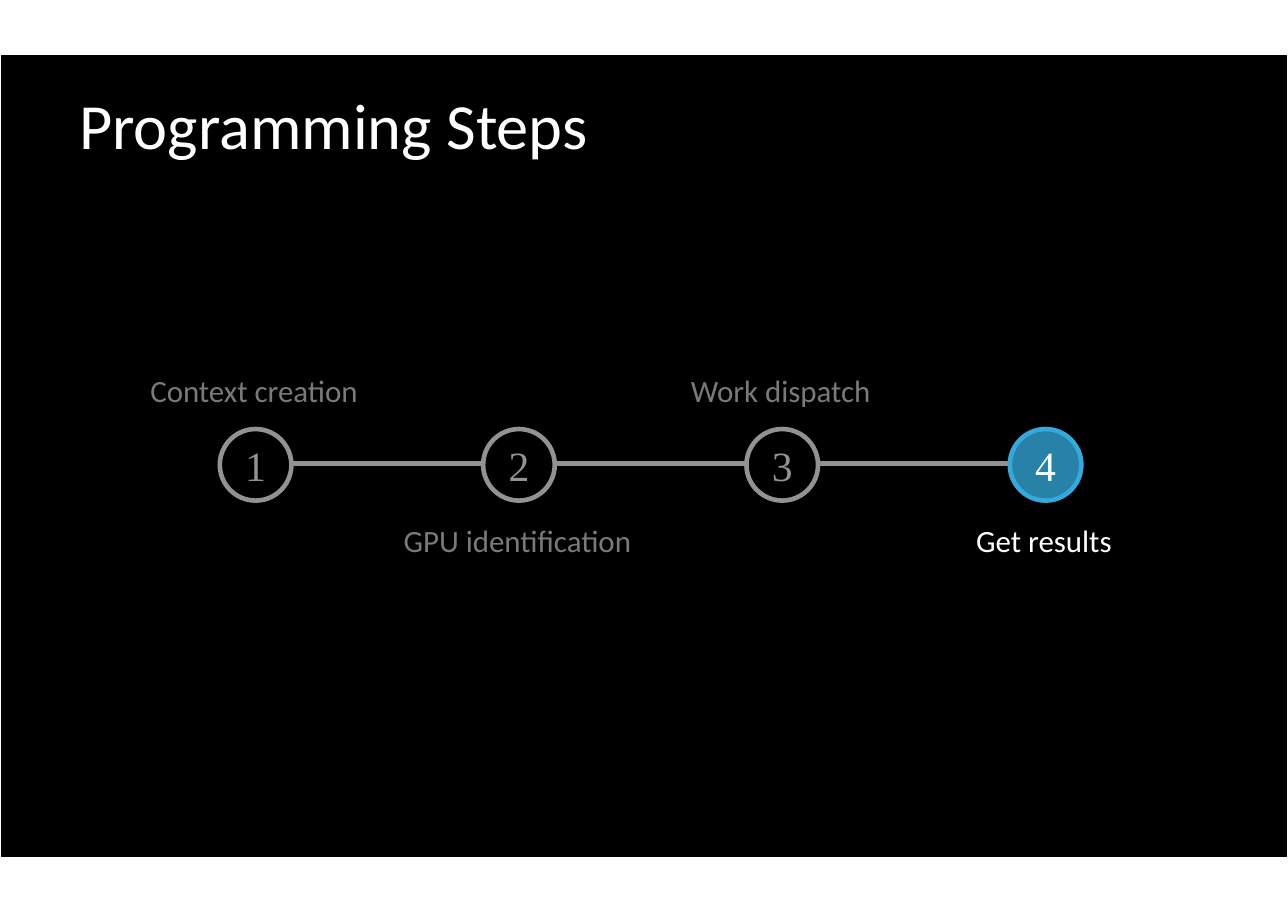
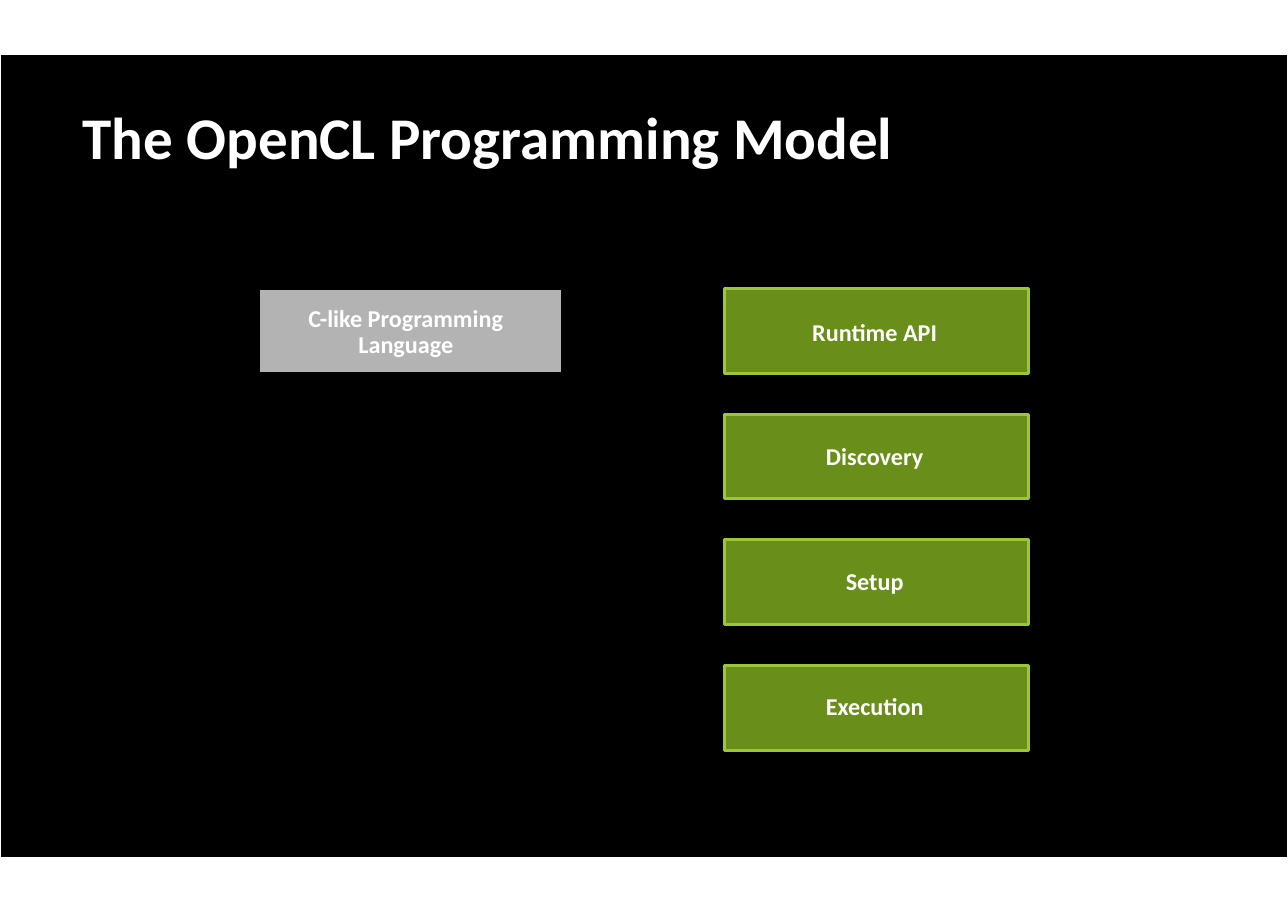
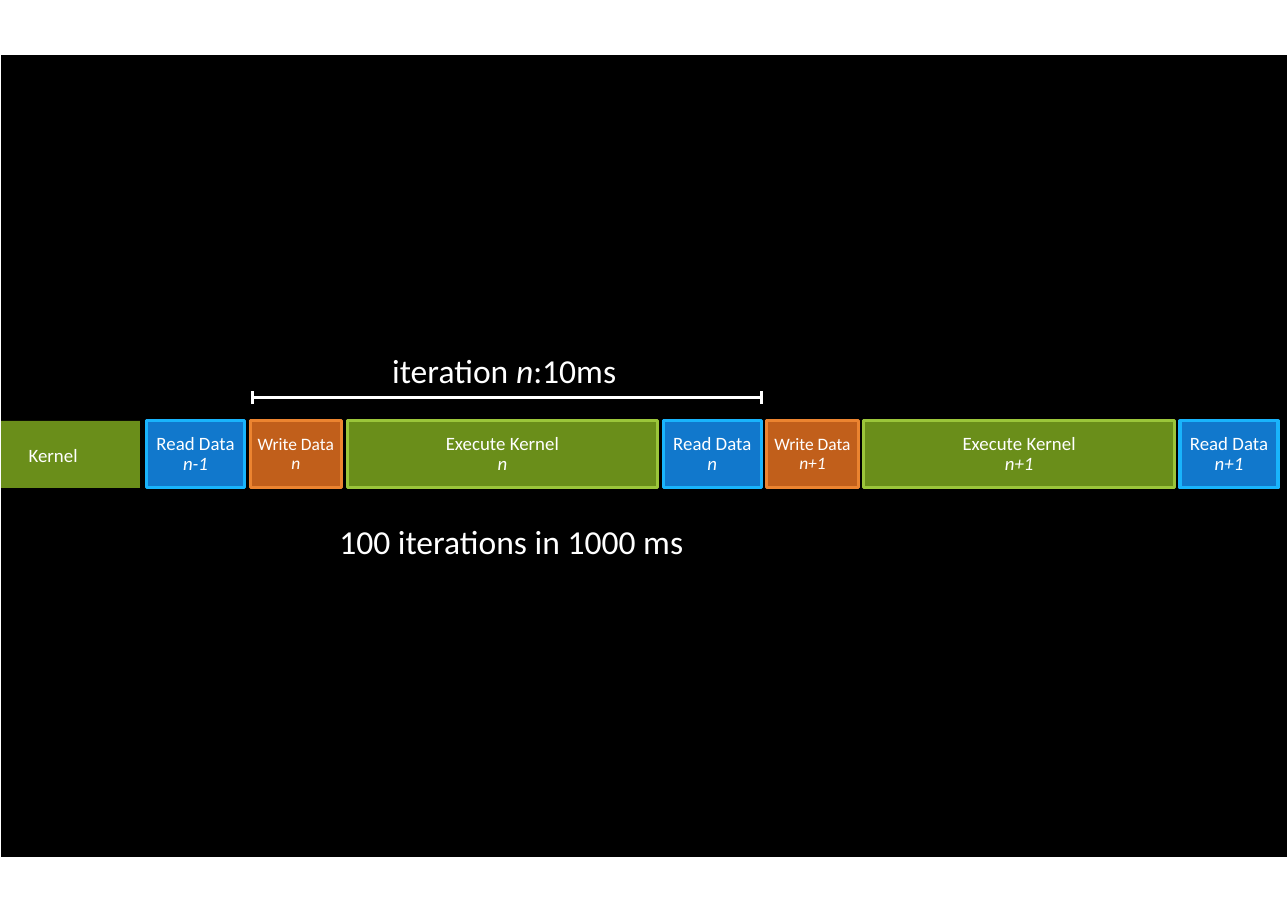
"""Three slides on OpenCL programming: steps, model and iteration timing."""
import pptx
import pptx.util
import pptx.dml.color
import pptx.enum.shapes
import pptx.enum.text
import pptx.oxml.ns
from lxml import etree

Inches, Pt = pptx.util.Inches, pptx.util.Pt
RGB = pptx.dml.color.RGBColor.from_string
SHAPE = pptx.enum.shapes.MSO_SHAPE
ALIGN = pptx.enum.text.PP_ALIGN
ANCHOR = pptx.enum.text.MSO_ANCHOR

COLORS = {
    "black": "000000", "white": "FFFFFF", "silver": "B3B3B3",
    "grey": "929292", "dim": "7A7A7A",
    "teal": "2882A8", "teal_edge": "34AADC",
    "green": "6A8E1A", "green_edge": "9BC63A",
    "orange": "C15F1B", "orange_edge": "EC8430",
    "blue": "1178CC", "blue_edge": "19B4FC",
}


def box(s, kind, x, y, w, h, fill=None, edge=None, weight=2, lines=(), size=12.3,
        color="white", font="Calibri", bold=False, leading=None,
        align=ALIGN.CENTER, anchor=ANCHOR.MIDDLE, inset=(0, 0, 0)):
    """Add a shape, or a text box when kind is None, and return its text frame."""
    place = [Inches(v) for v in (x, y, w, h)]
    if kind is None:
        sp = s.shapes.add_textbox(*place)
    else:
        sp = s.shapes.add_shape(kind, *place)
        sp.shadow.inherit = False
        sp.fill.solid()
        sp.fill.fore_color.rgb = RGB(COLORS[fill])
        if edge:
            sp.line.color.rgb = RGB(COLORS[edge])
            sp.line.width = Pt(weight)
        else:
            sp.line.fill.background()
    tf = sp.text_frame
    tf.word_wrap = True
    tf.vertical_anchor = anchor
    tf.margin_left, tf.margin_top, tf.margin_right = [Inches(v) for v in inset]
    tf.margin_bottom = 0
    for i, line in enumerate(lines):
        p = tf.paragraphs[0] if i == 0 else tf.add_paragraph()
        p.text = line
        p.alignment = align
        if leading:
            p.line_spacing = Pt(leading)
        p.font.name = font
        p.font.size = Pt(size)
        p.font.bold = bold
        p.font.color.rgb = RGB(COLORS[color])
    return tf


def rule(s, x1, y1, x2, y2, color, weight):
    """Add a straight line without a shadow."""
    c = s.shapes.add_connector(pptx.enum.shapes.MSO_CONNECTOR.STRAIGHT,
                               Inches(x1), Inches(y1), Inches(x2), Inches(y2))
    c.line.color.rgb = RGB(COLORS[color])
    c.line.width = Pt(weight)
    etree.SubElement(c._element.spPr, pptx.oxml.ns.qn("a:effectLst"))


prs = pptx.Presentation()
prs.slide_width, prs.slide_height = Inches(11.69), Inches(8.27)
slides = [prs.slides.add_slide(prs.slide_layouts[6]) for _ in range(3)]
for s in slides:
    box(s, SHAPE.RECTANGLE, 0.01, 0.5, 11.67, 7.28, "black")
steps_slide, model_slide, timing_slide = slides

heading = dict(align=ALIGN.LEFT, anchor=ANCHOR.TOP)
box(steps_slide, None, 0.72, 0.85, 10, 0.68, lines=["Programming Steps"],
    size=42.1, leading=45, **heading)
box(model_slide, None, 0.75, 0.99, 10, 0.64, lines=["The OpenCL Programming Model"],
    size=38.6, leading=41, bold=True, **heading)

steps = ["Context creation", "GPU identification", "Work dispatch", "Get results"]
first_x, step_gap, axis_y, diameter = 2.32, 2.39, 4.22, 0.65
rule(steps_slide, first_x, 4.21, first_x + 3 * step_gap, 4.21, "grey", 3)
for i, step in enumerate(steps):
    x = first_x + i * step_gap
    active = i == len(steps) - 1
    box(steps_slide, SHAPE.OVAL, x - diameter / 2, axis_y - diameter / 2, diameter, diameter,
        "teal" if active else "black", "teal_edge" if active else "grey", 3,
        [str(i + 1)], 27.2, "white" if active else "grey", "Times New Roman")
    label_y = axis_y + (0.68 if i % 2 else -0.68)
    box(steps_slide, None, x - 1.2, label_y - 0.17, 2.4, 0.34, lines=[step],
        size=20.2, color="white" if active else "dim", inset=(0, 0, 0.03))

cell = dict(w=2.76, h=0.77, size=15.8, bold=True, leading=17)
box(model_slide, SHAPE.RECTANGLE, 2.35, 2.62, fill="silver", edge="black",
    lines=["C-like Programming", "Language"], inset=(0, 0.03, 0.09), **cell)
parts = [("Runtime API", 0.04), ("Discovery", 0.02), ("Setup", 0), ("Execution", 0)]
for i, (part, drop) in enumerate(parts):
    box(model_slide, SHAPE.RECTANGLE, 6.58, 2.62 + 1.14 * i, fill="green",
        edge="green_edge", lines=[part], inset=(0, drop, 0.04), **cell)

band_y, band_h, band_gap = 3.82, 0.61, 0.05
box(timing_slide, SHAPE.RECTANGLE, 0.01, band_y, 1.26, band_h, "green", lines=["Kernel"],
    leading=13, align=ALIGN.LEFT, inset=(0.25, 0.04, 0))
tasks = {
    "Read Data": (0.89, "blue", 12.3, 13),
    "Write Data": (0.83, "orange", 11.4, 12),
    "Execute Kernel": (2.82, "green", 12.3, 13),
}
x = 1.33
for task, turn in [("Read Data", "n-1"),
                   ("Write Data", "n"), ("Execute Kernel", "n"), ("Read Data", "n"),
                   ("Write Data", "n+1"), ("Execute Kernel", "n+1"), ("Read Data", "n+1")]:
    w, hue, size, leading = tasks[task]
    tf = box(timing_slide, SHAPE.RECTANGLE, x, band_y, w, band_h, hue, hue + "_edge",
             lines=[task, turn], size=size, leading=leading)
    tf.paragraphs[1].font.italic = True
    x += w + band_gap

span_left, span_right, span_y = 2.29, 6.91, 3.61
rule(timing_slide, span_left, span_y, span_right, span_y, "white", 2)
for x in (span_left, span_right):
    rule(timing_slide, x, span_y - 0.06, x, span_y + 0.06, "white", 2)

caption = dict(size=21.9, leading=23, **heading)
tf = box(timing_slide, None, 3.56, 3.22, 3, 0.38, lines=["iteration "], **caption)
for text, italic in [("n", True), (":10ms", False)]:
    r = tf.paragraphs[0].add_run()
    r.text = text
    r.font.italic = italic
box(timing_slide, None, 3.08, 4.78, 4, 0.38, lines=["100 iterations in 1000 ms"], **caption)

prs.save("out.pptx")
